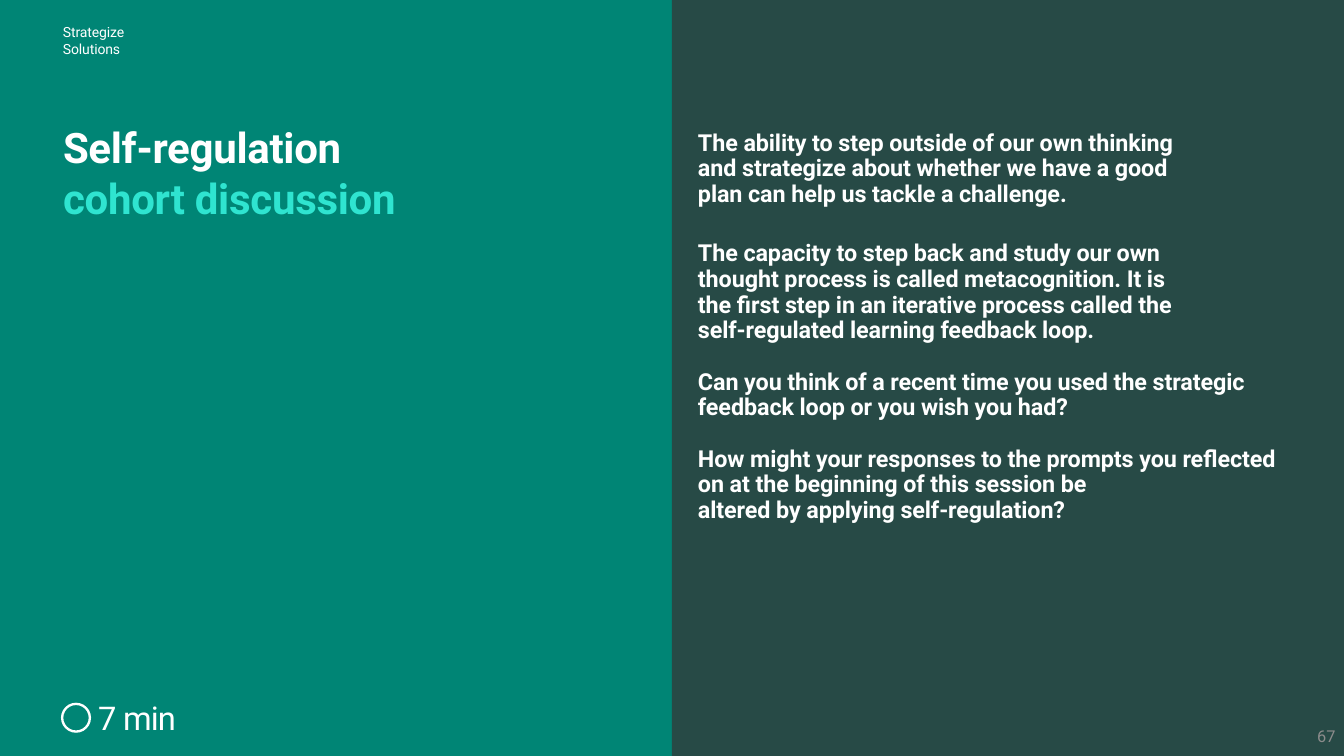
from pptx import Presentation
from pptx.dml.color import RGBColor
from pptx.enum import shapes, text
from pptx.util import Inches, Pt

FONT = "Roboto"
WHITE, TEAL, AQUA, PINE, GRAY = "FFFFFF", "008575", "2FE4D0", "274A46", "8C8C8C"
MARGIN = 0.74

PROMPTS = [
    ("The ability to step outside of our own thinking and strategize about "
     "whether we have a good plan can help us tackle a challenge.", 0, 1.1),
    ("The capacity to step back and study our own thought process is called "
     "metacognition. It is the first step in an iterative process called the "
     "self-regulated learning feedback loop.", 28.8, 1.1),
    ("Can you think of a recent time you used the strategic feedback loop "
     "or you wish you had?", 22, 0),
    ("How might your responses to the prompts you reflected on at the "
     "beginning of this session be\valtered by applying self-regulation?", 22, 0),
]


def color(value):
    """Turn a hex string into a colour."""
    return RGBColor.from_string(value)


def add_panel(slide, left, fill):
    """Fill half of the slide with one colour."""
    panel = slide.shapes.add_shape(
        shapes.MSO_SHAPE.RECTANGLE, Inches(left), 0, Inches(8), Inches(9))
    panel.shadow.inherit = False
    panel.fill.solid()
    panel.fill.fore_color.rgb = color(fill)
    panel.line.fill.background()


def add_clock_ring(slide, left, top, size):
    """Draw the outlined ring beside the duration."""
    ring = slide.shapes.add_shape(
        shapes.MSO_SHAPE.OVAL, Inches(left), Inches(top), Inches(size), Inches(size))
    ring.shadow.inherit = False
    ring.fill.background()
    ring.line.color.rgb = color(WHITE)
    ring.line.width = Pt(2)


def add_text_frame(slide, left, top, width, height, inset_top=0.02):
    """Add a wrapping text box without side insets and return its frame."""
    box = slide.shapes.add_textbox(
        Inches(left), Inches(top), Inches(width), Inches(height))
    frame = box.text_frame
    frame.word_wrap = True
    frame.margin_left = frame.margin_right = frame.margin_bottom = 0
    frame.margin_top = Inches(inset_top)
    return frame


def format_paragraph(paragraph, size, fill=WHITE, bold=False, spacing=0.0, right=0.0):
    """Style the runs of a paragraph and set its right indent."""
    properties = paragraph._p.get_or_add_pPr()
    properties.set("marL", str(Inches(0.01)))
    properties.set("marR", str(Inches(right)))
    for run in paragraph.runs:
        run.font.name = FONT
        run.font.size = Pt(size)
        run.font.bold = bold
        run.font.color.rgb = color(fill)
        run._r.get_or_add_rPr().set("spc", str(round(spacing * 100)))


def add_label(slide, box, words, size, **style):
    """Add a one-paragraph text box and return its frame."""
    frame = add_text_frame(slide, *box)
    frame.text = words
    format_paragraph(frame.paragraphs[0], size, **style)
    return frame


def add_title(slide):
    """Add the two-colour title."""
    frame = add_text_frame(slide, MARGIN, 1.43, 4.49, 1.23)
    paragraph = frame.paragraphs[0]
    for words in ("Self-regulation ", "cohort discussion"):
        paragraph.add_run().text = words
    format_paragraph(paragraph, 36, bold=True, spacing=-0.25)
    paragraph.runs[1].font.color.rgb = color(AQUA)


def add_prompts(slide):
    """Add the discussion prompts."""
    frame = add_text_frame(slide, 8.3, 1.48, 6.97, 4.76, 0.07)
    for index, (words, space_before, right) in enumerate(PROMPTS):
        paragraph = frame.add_paragraph() if index else frame.paragraphs[0]
        paragraph.text = words
        paragraph.line_spacing = Pt(22)
        paragraph.space_before = Pt(space_before)
        format_paragraph(paragraph, 20, bold=True, spacing=-0.1, right=right)


def add_page_number(slide):
    """Add the page number in the bottom right corner."""
    frame = add_label(slide, (12.4, 8.52, 3.5, 0.48, 0), "67", 14, fill=GRAY)
    frame.vertical_anchor = text.MSO_ANCHOR.MIDDLE
    frame.paragraphs[0].alignment = text.PP_ALIGN.RIGHT


def main():
    """Build the slide and save it."""
    presentation = Presentation()
    presentation.slide_width = Inches(16)
    presentation.slide_height = Inches(9)
    slide = presentation.slides.add_slide(presentation.slide_layouts[6])
    add_panel(slide, 0, TEAL)
    add_title(slide)
    add_panel(slide, 8, PINE)
    add_prompts(slide)
    add_label(slide, (MARGIN, 0.26, 1.43, 0.42), "Strategize Solutions", 12,
              spacing=-0.1, right=0.3)
    add_clock_ring(slide, MARGIN, 8.38, 0.33)
    add_label(slide, (1.16, 8.26, 0.96, 0.51, 0.05), "7 min", 28, spacing=-0.7)
    add_page_number(slide)
    presentation.save("out.pptx")


if __name__ == "__main__":
    main()
